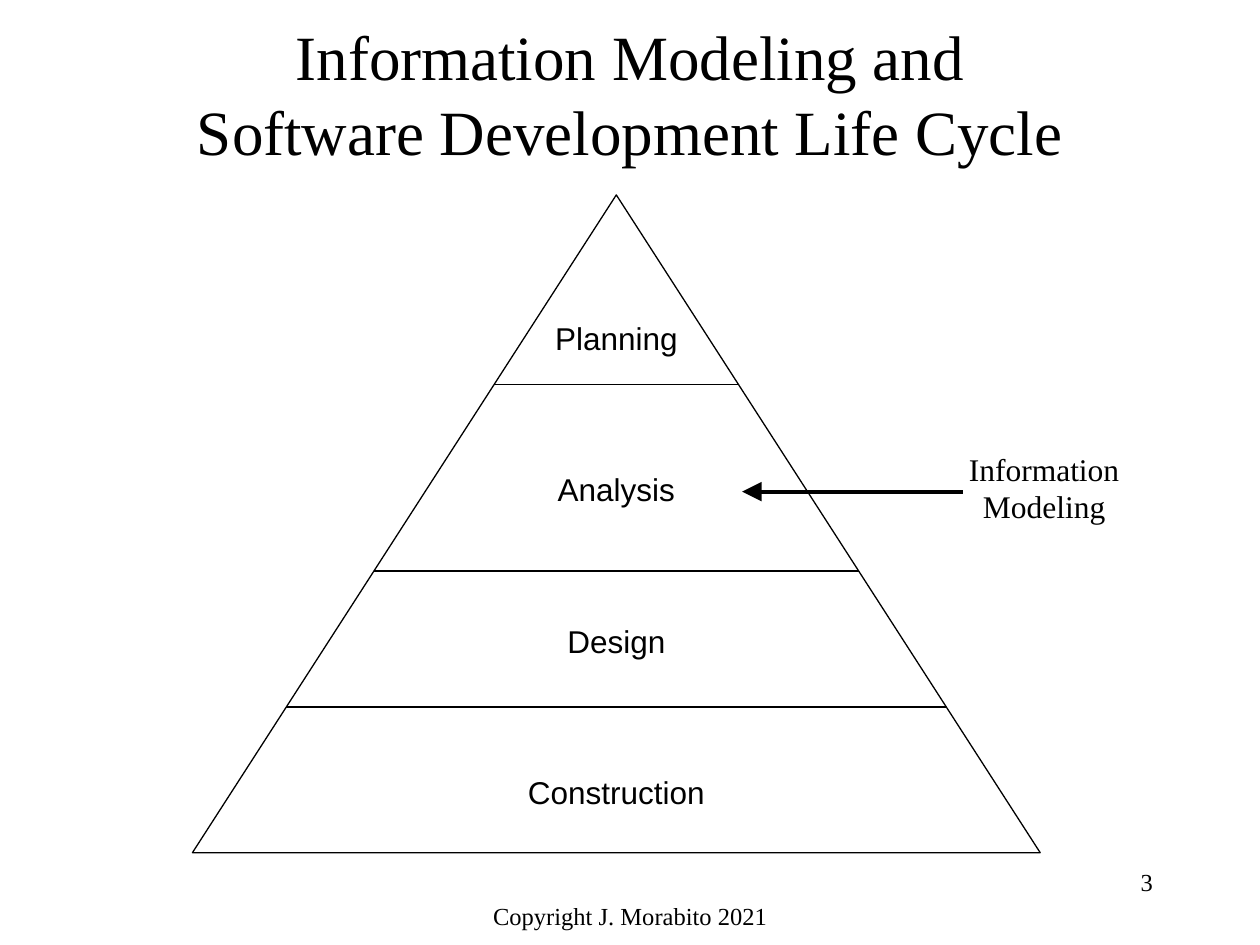
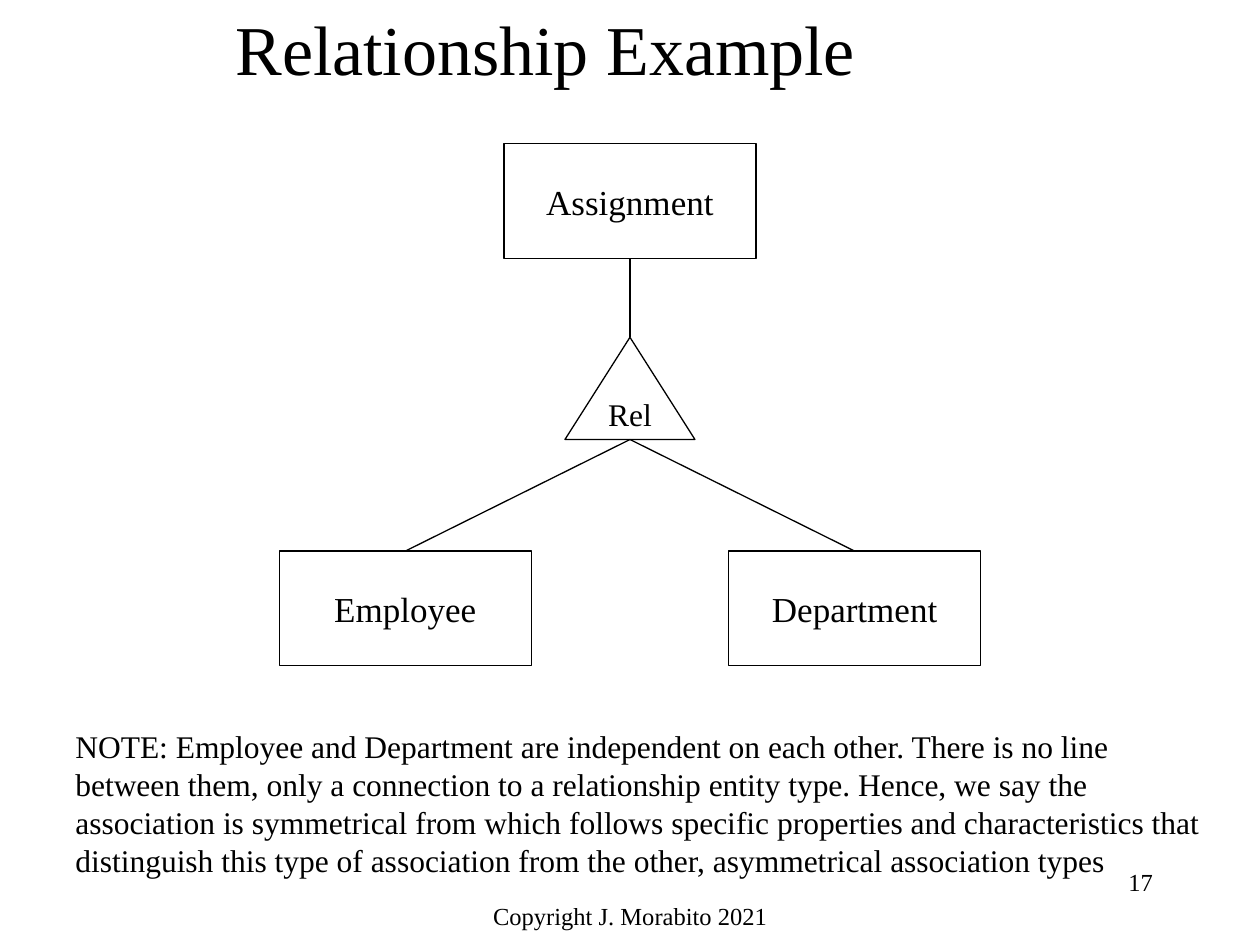
from lxml import etree
from pptx import Presentation
from pptx.dml.color import RGBColor
from pptx.enum.shapes import MSO_CONNECTOR, MSO_SHAPE
from pptx.enum.text import MSO_ANCHOR, PP_ALIGN
from pptx.oxml.ns import qn
from pptx.util import Cm, Pt

STRAIGHT = MSO_CONNECTOR.STRAIGHT
RECTANGLE, TRIANGLE = MSO_SHAPE.RECTANGLE, MSO_SHAPE.ISOSCELES_TRIANGLE
TOP, MIDDLE = MSO_ANCHOR.TOP, MSO_ANCHOR.MIDDLE
LEFT, CENTER, RIGHT = PP_ALIGN.LEFT, PP_ALIGN.CENTER, PP_ALIGN.RIGHT
TOP_SIDE, BOTTOM_SIDE = 0, 2

COLORS = {"ink": "000000", "paper": "FFFFFF"}
SERIF, SANS = "Times New Roman", "Arial"
SLIDE_WIDTH, SLIDE_HEIGHT = 25.4, 19.05
COPYRIGHT = "Copyright J. Morabito 2021"
THIN, THICK = 0.75, 2.25

# Text formats
FOOTER = {"size": Pt(14), "name": SERIF}
WIDE_TITLE = {"size": Pt(36), "name": SERIF}
SHORT_TITLE = {"size": Pt(40), "name": SERIF}
BODY = {"size": Pt(18), "name": SERIF}
PHASE = {"size": Pt(18), "name": SANS}
ENTITY = {"size": Pt(20), "name": SERIF}


def color(name):
    return RGBColor.from_string(COLORS[name])


def write_text(shape, lines, font_format, align=CENTER, anchor=TOP, wrap=True, gap=0):
    """Fill a shape with one paragraph per line, gap points apart."""
    frame = shape.text_frame
    frame.word_wrap = wrap
    frame.vertical_anchor = anchor
    for index, line in enumerate(lines):
        paragraph = frame.add_paragraph() if index else frame.paragraphs[0]
        paragraph.text = line
        paragraph.alignment = align
        if index and gap:
            paragraph.space_before = Pt(gap)
        for attribute, value in font_format.items():
            setattr(paragraph.font, attribute, value)
        paragraph.font.color.rgb = color("ink")


def add_text(slide, box, lines, font_format, **options):
    shape = slide.shapes.add_textbox(*map(Cm, box))
    write_text(shape, lines, font_format, **options)


def add_outline(slide, kind, box, label=None, font_format=None):
    """Add an unfilled shape with a thin outline and an optional label."""
    shape = slide.shapes.add_shape(kind, *map(Cm, box))
    shape.shadow.inherit = False
    shape.fill.background()
    shape.line.color.rgb = color("ink")
    shape.line.width = Pt(THIN)
    if label:
        write_text(shape, [label], font_format, anchor=MIDDLE, wrap=False)
    return shape


def add_line(slide, start, end, width=THIN, arrow=False):
    line = slide.shapes.add_connector(STRAIGHT, *map(Cm, start + end))
    line.line.color.rgb = color("ink")
    line.line.width = Pt(width)
    properties = line._element.spPr
    if arrow:
        etree.SubElement(properties.find(qn("a:ln")), qn("a:tailEnd"),
                         type="triangle", w="lg", len="lg")
    etree.SubElement(properties, qn("a:effectLst"))
    return line


def start_slide(presentation, number):
    """Add a blank slide with the copyright line and the slide number."""
    slide = presentation.slides.add_slide(presentation.slide_layouts[6])
    slide.background.fill.solid()
    slide.background.fill.fore_color.rgb = color("paper")
    add_text(slide, (8.68, 18.03, 8.05, 0.91), [COPYRIGHT], FOOTER)
    add_text(slide, (18.21, 17.35, 5.28, 1.27), [str(number)], FOOTER, align=RIGHT)
    return slide


def build_life_cycle(presentation):
    slide = start_slide(presentation, 3)
    title = "Information Modeling and\vSoftware Development Life Cycle"
    add_text(slide, (0, 0.2, SLIDE_WIDTH, 3.35), [title], WIDE_TITLE, anchor=MIDDLE)

    # Pyramid, with dividers that reach its sloping sides
    left, top, width, height = 3.88, 3.93, 17.09, 13.26
    add_outline(slide, TRIANGLE, (left, top, width, height))
    apex = left + width / 2
    for divider in (7.75, 11.51, 14.25):
        reach = width / 2 * (divider - top) / height
        add_line(slide, (apex - reach, divider), (apex + reach, divider))

    # Phases
    phases = ["Planning", "Analysis", "Design", "Construction"]
    phase_width = 5
    add_text(slide, (apex - phase_width / 2, 6.3, phase_width, 10.16), phases, PHASE, gap=65)

    # Callout
    add_text(slide, (18.8, 8.94, 4.5, 1.78), ["Information", "Modeling"], BODY)
    add_line(slide, (19.41, 9.91), (14.96, 9.91), THICK, arrow=True)


def build_relationship(presentation):
    slide = start_slide(presentation, 17)
    add_text(slide, (4.5, 0.22, 13.89, 1.47), ["Relationship Example"], SHORT_TITLE,
             align=LEFT, anchor=MIDDLE)

    # Entities around the middle axis, and the relationship on it
    middle = SLIDE_WIDTH / 2
    entity_width, entity_height = 5.08, 2.31
    entities = {}
    for name, offset, top in (("Assignment", 0, 2.9), ("Employee", -4.53, 11.11),
                              ("Department", 4.53, 11.11)):
        box = (middle + offset - entity_width / 2, top, entity_width, entity_height)
        entities[name] = add_outline(slide, RECTANGLE, box, name, ENTITY)
    rel_top, rel_width, rel_height = 6.8, 2.62, 2.06
    add_outline(slide, TRIANGLE, (middle - rel_width / 2, rel_top, rel_width, rel_height),
                "Rel", BODY)

    # Links from each entity to the relationship
    rel_bottom = rel_top + rel_height
    for name, side, rel_end in (("Employee", TOP_SIDE, rel_bottom),
                                ("Department", TOP_SIDE, rel_bottom),
                                ("Assignment", BOTTOM_SIDE, rel_top)):
        point = (middle, rel_end)
        add_line(slide, point, point).begin_connect(entities[name], side)

    # Note
    note = ("NOTE: Employee and Department are independent on each other. There is no line "
            "between them, only a connection to a relationship entity type. Hence, we say "
            "the association is symmetrical from which follows specific properties and "
            "characteristics that distinguish this type of association from the other, "
            "asymmetrical association types")
    add_text(slide, (1.27, 14.54, 23.32, 3.3), [note], BODY, align=LEFT)


def main():
    presentation = Presentation()
    presentation.slide_width = Cm(SLIDE_WIDTH)
    presentation.slide_height = Cm(SLIDE_HEIGHT)
    build_life_cycle(presentation)
    build_relationship(presentation)
    presentation.save("out.pptx")


if __name__ == "__main__":
    main()
